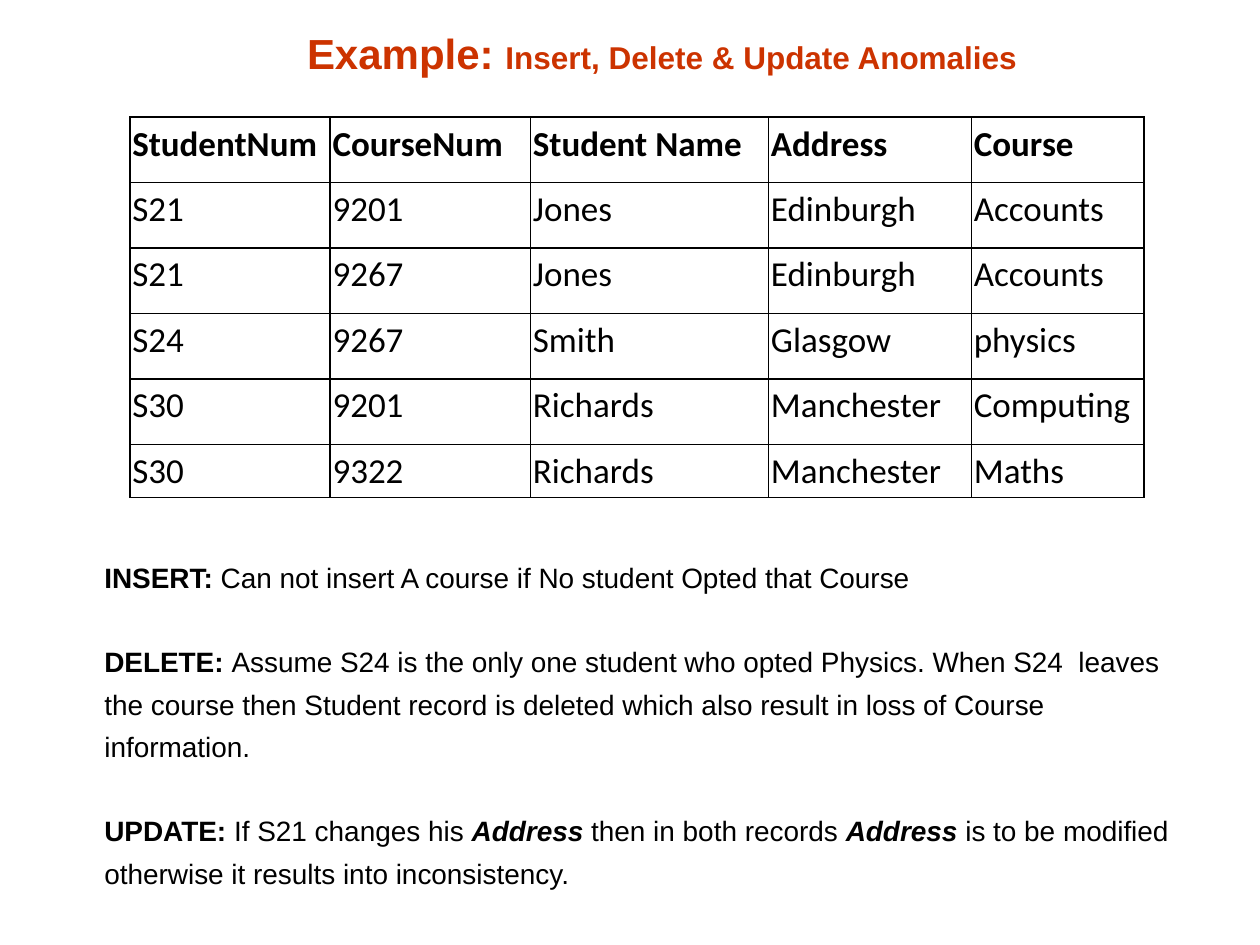
from dataclasses import dataclass

import pptx
import pptx.dml.color
import pptx.enum.text
import pptx.oxml
import pptx.oxml.ns
import pptx.util
from pptx.util import Inches


@dataclass(frozen=True)
class Theme:
    accent: str = "CC3300"
    ink: str = "000000"
    paper: str = "FFFFFF"
    sans: str = "Arial"
    table_font: str = "Calibri"
    title: int = 24
    subtitle: int = 18
    cell: int = 20
    body: int = 16


THEME = Theme()

ROWS = [
    ("StudentNum", "CourseNum", "Student Name", "Address", "Course"),
    ("S21", "9201", "Jones", "Edinburgh", "Accounts"),
    ("S21", "9267", "Jones", "Edinburgh", "Accounts"),
    ("S24", "9267", "Smith", "Glasgow", "physics"),
    ("S30", "9201", "Richards", "Manchester", "Computing"),
    ("S30", "9322", "Richards", "Manchester", "Maths"),
]
COL_WIDTHS = (1.59, 1.59, 1.89, 1.61, 1.37)
ROW_HEIGHTS = (0.52,) * 5 + (0.42,)

# Each note is a list of (text, bold, italic) runs
NOTES = [
    [("INSERT: ", True, False),
     ("Can not insert A course if No student Opted that Course", False, False)],
    [("DELETE: ", True, False),
     ("Assume S24 is the only one student who opted Physics. When S24  leaves "
      "the course then Student record is deleted which also result in loss of "
      "Course information.", False, False)],
    [("UPDATE: ", True, False), ("If S21 changes his ", False, False),
     ("Address", True, True), (" then in both records ", False, False),
     ("Address", True, True),
     (" is to be modified otherwise it results into inconsistency.", False, False)],
]


def rgb(color):
    return pptx.dml.color.RGBColor.from_string(color)


def style_run(r, size, font, color, bold=False, italic=False):
    r.font.size = pptx.util.Pt(size)
    r.font.name = font
    r.font.color.rgb = rgb(color)
    r.font.bold = bold
    r.font.italic = italic


def add_run(p, text, *style):
    r = p.add_run()
    r.text = text
    style_run(r, *style)


def add_text_box(s, box):
    tf = s.shapes.add_textbox(*map(Inches, box)).text_frame
    tf.word_wrap = True
    return tf


def add_title(s, box):
    tf = add_text_box(s, box)
    tf.vertical_anchor = pptx.enum.text.MSO_ANCHOR.BOTTOM
    p = tf.paragraphs[0]
    p.alignment = pptx.enum.text.PP_ALIGN.CENTER
    add_run(p, "Example: ", THEME.title, THEME.sans, THEME.accent, True)
    add_run(p, "Insert, Delete & Update Anomalies",
            THEME.subtitle, THEME.sans, THEME.accent, True)


def set_borders(cell):
    """Draw a 1 pt line on all four sides; lines must precede the fill."""
    pr = cell._tc.get_or_add_tcPr()
    for i, side in enumerate(("lnL", "lnR", "lnT", "lnB")):
        pr.insert(i, pptx.oxml.parse_xml(
            f'<a:{side} {pptx.oxml.ns.nsdecls("a")} w="12700"><a:solidFill>'
            f'<a:srgbClr val="{THEME.ink}"/></a:solidFill></a:{side}>'))


def fill_cell(cell, text, bold):
    cell.margin_left = cell.margin_right = Inches(0.02)
    cell.margin_top = cell.margin_bottom = Inches(0.02)
    cell.fill.solid()
    cell.fill.fore_color.rgb = rgb(THEME.paper)
    set_borders(cell)
    p = cell.text_frame.paragraphs[0]
    p.text = text
    p.line_spacing = 1.07
    p.space_after = pptx.util.Pt(8)
    style_run(p.runs[0], THEME.cell, THEME.table_font, THEME.ink, bold)


def add_records(s, box):
    table = s.shapes.add_table(len(ROWS), len(COL_WIDTHS), *map(Inches, box)).table
    table.horz_banding = False
    for col, width in zip(table.columns, COL_WIDTHS):
        col.width = Inches(width)
    for i, (row, height) in enumerate(zip(table.rows, ROW_HEIGHTS)):
        row.height = Inches(height)
        for cell, text in zip(row.cells, ROWS[i]):
            fill_cell(cell, text, bold=i == 0)


def add_notes(s, box):
    tf = add_text_box(s, box)
    for i, note in enumerate(NOTES):
        p = tf.paragraphs[0] if i == 0 else tf.add_paragraph()
        if i:
            p.line_spacing = 1.26
            p.space_before = pptx.util.Pt(24)
        for text, bold, italic in note:
            add_run(p, text, THEME.body, THEME.sans, THEME.ink, bold, italic)


def main():
    prs = pptx.Presentation()
    prs.slide_width, prs.slide_height = Inches(10), Inches(7.5)
    s = prs.slides.add_slide(prs.slide_layouts[6])

    # Heading, table of records, then the three anomalies
    add_title(s, (0.84, 0, 8.83, 0.67))
    add_records(s, (1.03, 0.93, sum(COL_WIDTHS), sum(ROW_HEIGHTS)))
    add_notes(s, (0.73, 4.4, 8.76, 2.69))
    prs.save("out.pptx")


if __name__ == "__main__":
    main()
